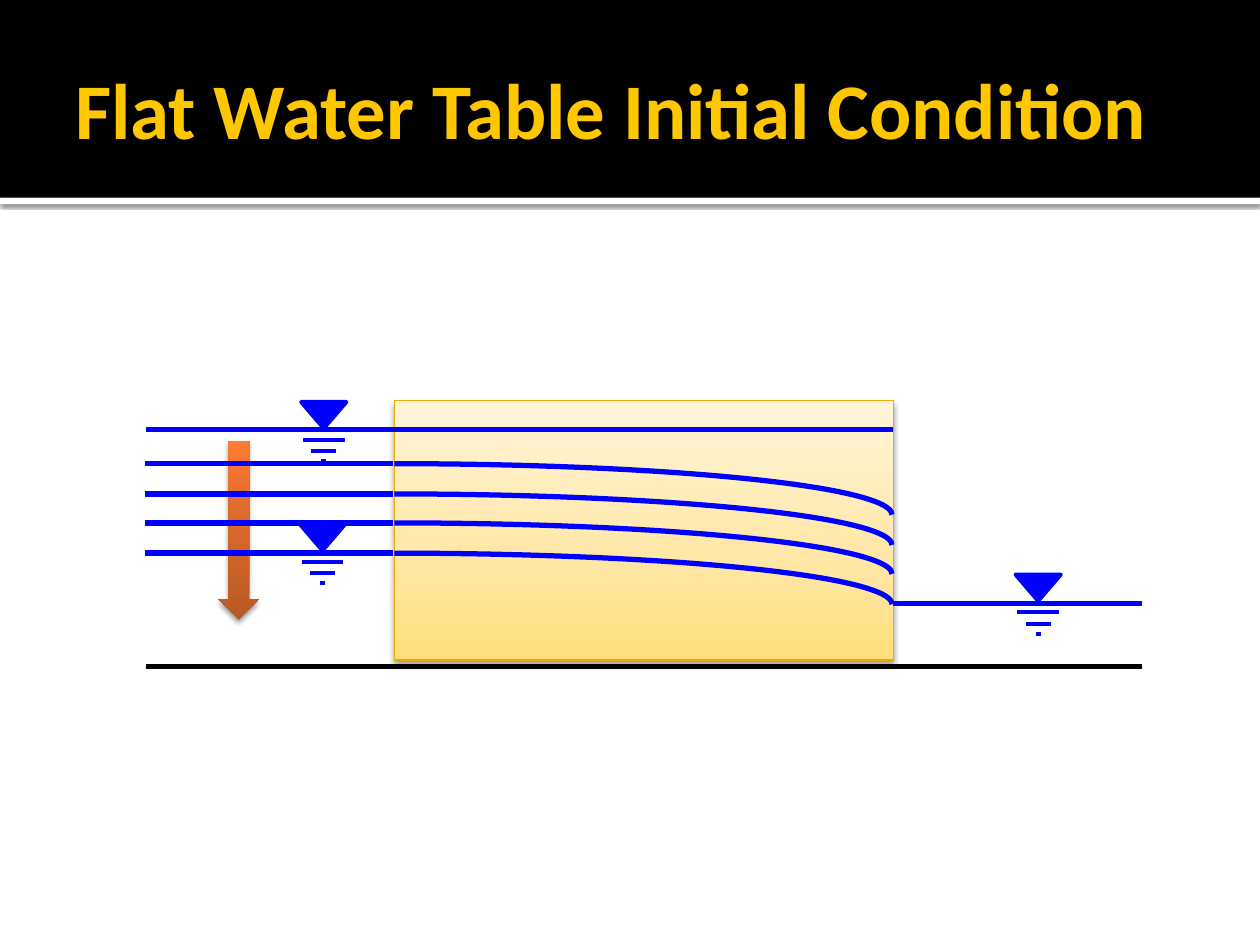
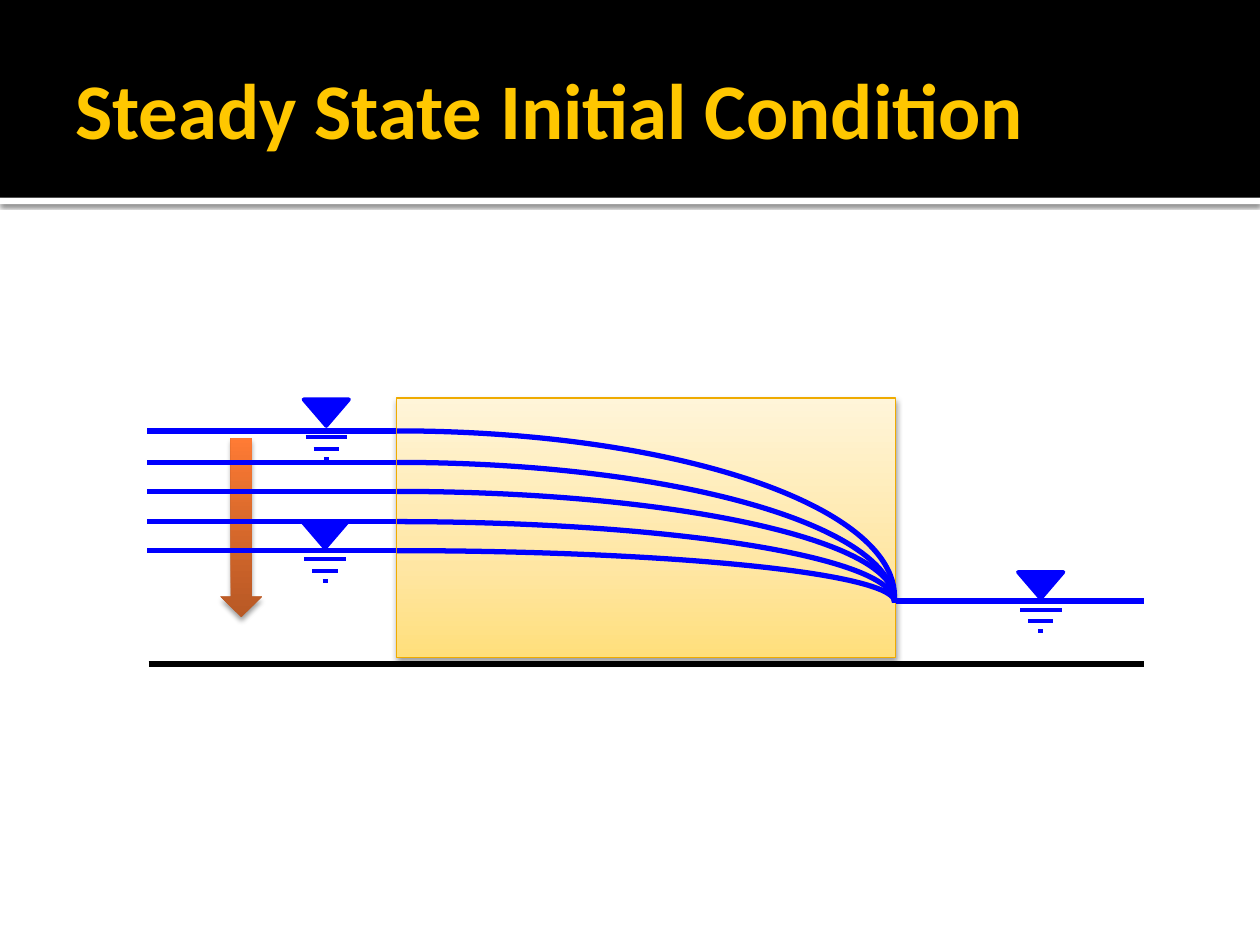
from lxml.etree import SubElement
from pptx import Presentation
from pptx.dml.color import RGBColor
from pptx.enum.shapes import MSO_CONNECTOR, MSO_SHAPE
from pptx.enum.text import MSO_ANCHOR
from pptx.oxml.ns import qn
from pptx.util import Inches, Pt

# Colours
BLACK = RGBColor(0x00, 0x00, 0x00)
WHITE = RGBColor(0xFF, 0xFF, 0xFF)
GOLD = RGBColor(0xFF, 0xC7, 0x00)
BLUE = RGBColor(0x00, 0x00, 0xFF)
EDGE = RGBColor(0xEF, 0xAB, 0x00)
SAND = [(0, RGBColor(0xFF, 0xDF, 0x7B)), (35, RGBColor(0xFF, 0xE6, 0xA3)),
        (100, RGBColor(0xFF, 0xF5, 0xD9))]
RUST = [(0, RGBColor(0xB8, 0x59, 0x25)), (55, RGBColor(0xDA, 0x6A, 0x2C)),
        (100, RGBColor(0xFF, 0x7B, 0x34))]

# Content: curves are (water level, arc height) in grid rows
SLIDES = [
    {"title": "Flat Water Table Initial Condition", "shift": (0, 0), "flat": 34.1,
     "curves": [(36.8, 8.1), (39.2, 8.1), (41.5, 8.1), (43.9, 8.1)]},
    {"title": "Steady State Initial Condition", "shift": (0.2, -0.2), "flat": None,
     "curves": [(34.4, 26.3), (36.9, 22.3), (39.2, 17.1), (41.6, 12.7), (43.9, 8.1)]},
]
FONT = {"name": "Calibri", "size": Pt(45), "bold": True}
FRAME = {"word_wrap": True, "vertical_anchor": MSO_ANCHOR.MIDDLE,
         "margin_left": Inches(0.1), "margin_right": Inches(0.05),
         "margin_top": Inches(0.05), "margin_bottom": Inches(0.05)}

# Grid of 100 columns by 75 rows, shared by both slides
WIDE, HIGH = Inches(10), Inches(7.5)
CELL = WIDE / 100
BAND = (0, 0, 100, 15.7)
RULE = (0, 15.7, 100, 0.5)
TITLE = (5, 1.7, 90, 13.7)
SOIL = (31.3, 31.8, 39.6, 20.6)
DROP = (17.3, 35, 3.3, 14.2)
LEFT, FACE, EXIT, RIGHT = 11.6, 31.3, 70.9, 90.6
TAIL, BASE = 47.9, 52.9
ARC = 79
GAUGES = [(25.7, 31.9), (25.6, 41.6), (82.4, 45.6)]  # centre, top
TICKS = [(3, 3.3), (3.9, 2), (4.7, 0.4)]  # depth below top, width


def emu(*cells):
    return [round(c * CELL) for c in cells]


def style(item, values):
    for key, value in values.items():
        setattr(item, key, value)


def shade(shape, alpha, blur, dist):
    """Shadow cast straight down."""
    glow = SubElement(shape.element.spPr.find(qn("a:effectLst")), qn("a:outerShdw"),
                      blurRad=str(Pt(blur)), dist=str(Pt(dist)), dir="5400000",
                      algn="ctr", rotWithShape="0")
    tint = SubElement(glow, qn("a:srgbClr"), val=str(BLACK))
    SubElement(tint, qn("a:alpha"), val=str(alpha * 1000))


def blend(shape, stops):
    """Gradient that runs from bottom to top."""
    shape.fill.gradient()
    shape.fill.gradient_angle = 90
    stack = shape.element.spPr.find(qn("a:gradFill")).find(qn("a:gsLst"))
    for old in list(stack):
        stack.remove(old)
    for spot, color in stops:
        stop = SubElement(stack, qn("a:gs"), pos=str(spot * 1000))
        SubElement(stop, qn("a:srgbClr"), val=str(color))


def paint(shape, fill=None, line=None, width=0):
    shape.shadow.inherit = False
    if isinstance(fill, list):
        blend(shape, fill)
    elif fill is None:
        shape.fill.background()
    else:
        shape.fill.solid()
        shape.fill.fore_color.rgb = fill
    if line is None:
        shape.line.fill.background()
    else:
        shape.line.color.rgb = line
        shape.line.width = Pt(width)
    return shape


class Sketch:
    """One slide with all pieces moved by the same shift."""

    def __init__(self, slide, shift):
        self.shapes = slide.shapes
        self.dx, self.dy = shift

    def block(self, kind, box, **look):
        x, y, w, h = box
        spot = emu(x + self.dx, y + self.dy, w, h)
        return paint(self.shapes.add_shape(kind, *spot), **look)

    def level(self, x1, x2, y, color=BLUE, width=3):
        y += self.dy
        ends = emu(x1 + self.dx, y, x2 + self.dx, y)
        line = self.shapes.add_connector(MSO_CONNECTOR.STRAIGHT, *ends)
        line.line.color.rgb = color
        line.line.width = Pt(width)
        SubElement(line.element.spPr, qn("a:effectLst"))

    def gauge(self, mid, top):
        x, y = mid + self.dx, top + self.dy
        start, *rest = [emu(*p) for p in [(x - 1.8, y), (x, y + 2.1), (x + 1.8, y)]]
        pen = self.shapes.build_freeform(*start, scale=1.0)
        pen.add_line_segments(rest, close=True)
        paint(pen.convert_to_shape(), BLUE, BLUE, 2.25)
        for depth, size in TICKS:
            self.level(mid - size / 2, mid + size / 2, top + depth, width=2.25)


def head(slide, text):
    page = Sketch(slide, (0, 0))
    shade(page.block(MSO_SHAPE.RECTANGLE, RULE, fill=WHITE), 60, 2.5, 0.8)
    page.block(MSO_SHAPE.RECTANGLE, BAND, fill=BLACK)
    frame = slide.shapes.add_textbox(*emu(*TITLE)).text_frame
    style(frame, FRAME)
    run = frame.paragraphs[0].add_run()
    run.text = text
    style(run.font, FONT)
    run.font.color.rgb = GOLD


def draw(slide, data):
    head(slide, data["title"])
    page = Sketch(slide, data["shift"])

    # Soil block, outlet, base and falling arrow
    soil = page.block(MSO_SHAPE.RECTANGLE, SOIL, fill=SAND, line=EDGE, width=0.75)
    shade(soil, 38, 3.5, 2)
    page.level(EXIT, RIGHT, TAIL)
    page.level(LEFT, RIGHT, BASE, BLACK)
    shade(page.block(MSO_SHAPE.DOWN_ARROW, DROP, fill=RUST), 38, 3.1, 2)

    # Water levels
    for spot in GAUGES:
        page.gauge(*spot)
    if data["flat"]:
        page.level(LEFT, FACE, data["flat"])
        page.level(FACE, EXIT, data["flat"])
    for y, tall in data["curves"]:
        page.block(MSO_SHAPE.ARC, (EXIT - 0.1 - ARC, y, ARC, tall), line=BLUE, width=3)
        page.level(LEFT - 0.1, FACE - 0.1, y)


def main():
    deck = Presentation()
    style(deck, {"slide_width": WIDE, "slide_height": HIGH})
    for data in SLIDES:
        draw(deck.slides.add_slide(deck.slide_layouts[6]), data)
    deck.save("out.pptx")


if __name__ == "__main__":
    main()
